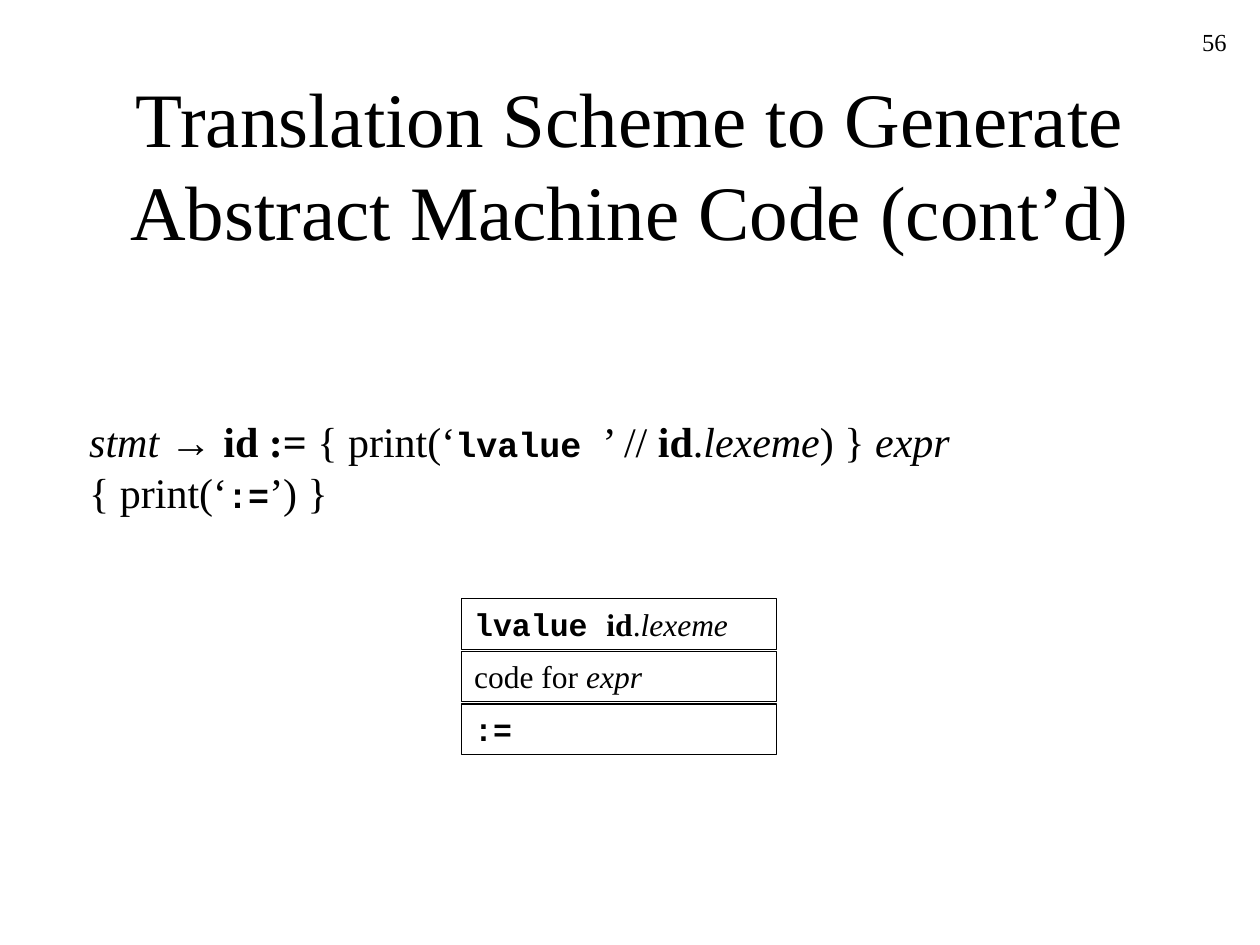
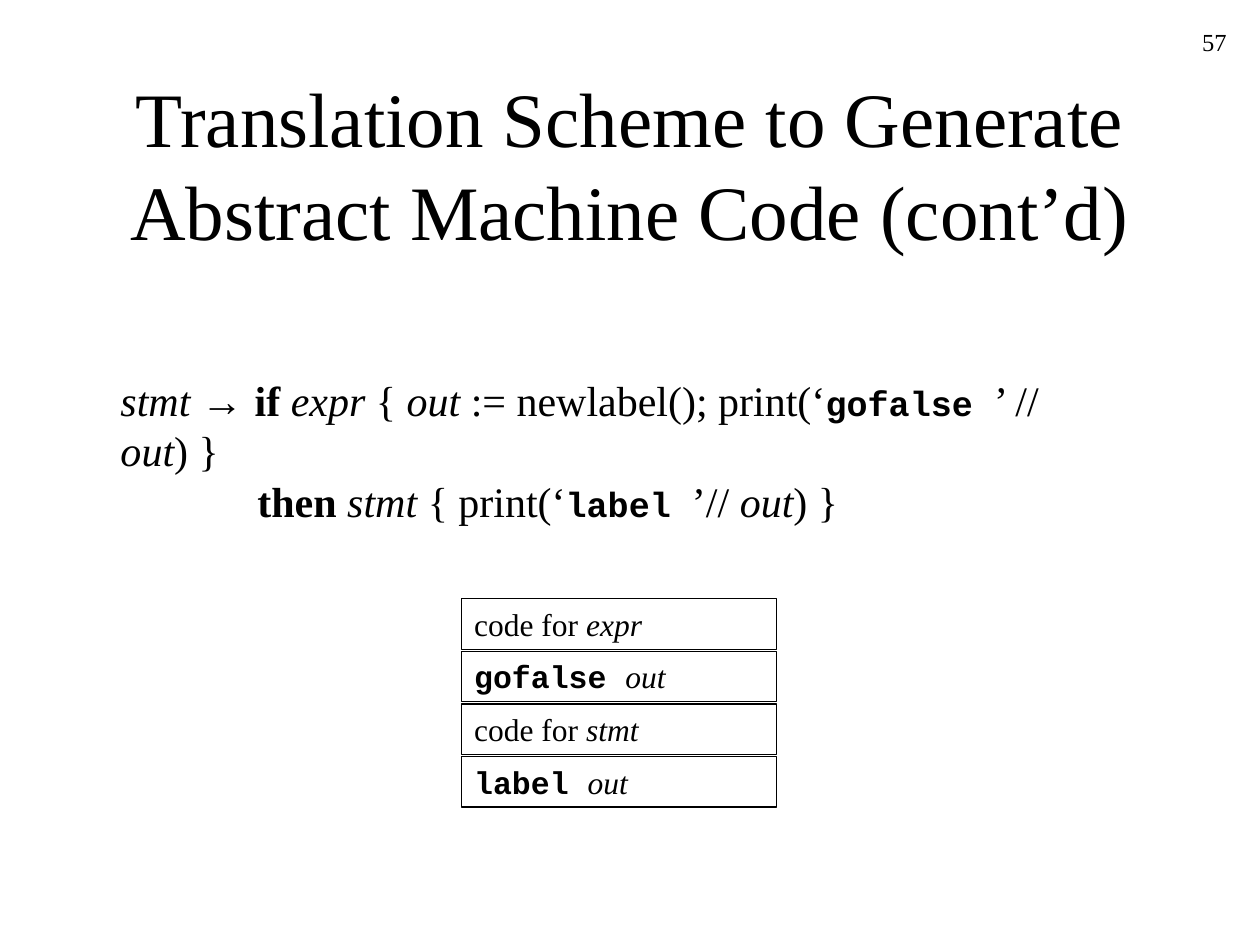
from pptx import Presentation
from pptx.dml.color import RGBColor
from pptx.enum.shapes import MSO_SHAPE
from pptx.enum.text import MSO_ANCHOR, MSO_AUTO_SIZE, PP_ALIGN
from pptx.util import Cm, Pt

BLACK, WHITE = "000000", "FFFFFF"
SERIF, SANS, MONO = "Times New Roman", "Arial", "Courier New"
TITLE = "Translation Scheme to Generate Abstract Machine Code (cont’d)"
FIRST_PAGE = 56

# Kinds of run: font, bold, italic
PLAIN = (SERIF, False, False)
NONTERMINAL = (SERIF, False, True)
TOKEN = (SERIF, True, False)
ARROW = (SANS, False, False)
CODE = (MONO, True, False)


def color(hex_code):
    return RGBColor.from_string(hex_code)


class Deck:
    """Shared style and the slide being built."""

    def __init__(self):
        self.presentation = Presentation()
        self.presentation.slide_width = Cm(25.4)
        self.presentation.slide_height = Cm(19.05)
        self.slide = None

    def add_slide(self, page):
        layout = self.presentation.slide_layouts[5]
        self.slide = self.presentation.slides.add_slide(layout)
        self.slide.background.fill.solid()
        self.slide.background.fill.fore_color.rgb = color(WHITE)
        self.title()
        self.page_number(page)

    def add_runs(self, paragraph, runs, size, code_size=None):
        for text, kind in runs:
            run = paragraph.add_run()
            run.text = text
            font = run.font
            font.name, font.bold, font.italic = kind
            font.size = Pt(code_size if code_size and kind == CODE else size)
            font.color.rgb = color(BLACK)

    def title(self):
        heading = self.slide.shapes.title
        heading.left, heading.top = Cm(1.9), Cm(1.7)
        heading.width, heading.height = Cm(21.6), Cm(3.18)
        frame = heading.text_frame
        frame.auto_size = MSO_AUTO_SIZE.NONE
        frame.vertical_anchor = MSO_ANCHOR.MIDDLE
        frame.paragraphs[0].alignment = PP_ALIGN.CENTER
        self.add_runs(frame.paragraphs[0], [(TITLE, PLAIN)], 44)

    def text_box(self, left, top, width, height):
        box = self.slide.shapes.add_textbox(Cm(left), Cm(top), Cm(width), Cm(height))
        box.text_frame.word_wrap = True
        return box.text_frame

    def page_number(self, page):
        corner = self.text_box(19.69, 0.42, 5.29, 1.27).paragraphs[0]
        corner.alignment = PP_ALIGN.RIGHT
        self.add_runs(corner, [(str(page), PLAIN)], 14)

    def production(self, place, right_inset, lines):
        """Grammar rule; the lines after the first are indented."""
        frame = self.text_box(*place)
        frame.margin_right = Cm(right_inset)
        for index, runs in enumerate(lines):
            if index:
                paragraph = frame.add_paragraph()
                paragraph._p.get_or_add_pPr().set("marL", str(Cm(2.76)))
            else:
                paragraph = frame.paragraphs[0]
            self.add_runs(paragraph, runs, 24, code_size=20)

    def code_layout(self, rows):
        """Stack of boxes showing the order of the generated code."""
        for index, runs in enumerate(rows):
            row = self.slide.shapes.add_shape(
                MSO_SHAPE.RECTANGLE, Cm(9.31), Cm(12.07 + 1.06 * index), Cm(6.35), Cm(1.02))
            row.shadow.inherit = False
            row.fill.background()
            row.line.color.rgb = color(BLACK)
            row.line.width = Pt(0.75)
            frame = row.text_frame
            frame.word_wrap = True
            frame.vertical_anchor = MSO_ANCHOR.TOP
            frame.paragraphs[0].alignment = PP_ALIGN.LEFT
            self.add_runs(frame.paragraphs[0], runs, 18)


def main():
    deck = Deck()
    rule_start = [("stmt ", NONTERMINAL), ("→ ", ARROW)]
    expr_code = [("code for ", PLAIN), ("expr", NONTERMINAL)]
    stmt_code = [("code for ", PLAIN), ("stmt", NONTERMINAL)]
    id_lexeme = [("id", TOKEN), (".", PLAIN), ("lexeme", NONTERMINAL)]
    out = ("out", NONTERMINAL)

    # Assignment statement
    deck.add_slide(FIRST_PAGE)
    deck.production((1.55, 8.26, 22.76, 1.27), 4.95, [
        rule_start + [("id := ", TOKEN), ("{ print(‘", PLAIN), ("lvalue ", CODE), ("’ // ", PLAIN)]
        + id_lexeme
        + [(") } ", PLAIN), ("expr", NONTERMINAL), (" { print(‘", PLAIN), (":=", CODE), ("’) }", PLAIN)],
    ])
    deck.code_layout([[("lvalue ", CODE)] + id_lexeme, expr_code, [(":=", CODE)]])

    # Conditional statement
    deck.add_slide(FIRST_PAGE + 1)
    deck.production((2.18, 7.42, 21.08, 2.29), 1.6, [
        rule_start + [("if ", TOKEN), ("expr ", NONTERMINAL), ("{ ", PLAIN), out,
                      (" := newlabel(); print(‘", PLAIN), ("gofalse ", CODE),
                      ("’ // ", PLAIN), out, (") }", PLAIN)],
        [("then ", TOKEN), ("stmt ", NONTERMINAL), ("{ print(‘", PLAIN), ("label ", CODE),
         ("’// ", PLAIN), out, (") }", PLAIN)],
    ])
    deck.code_layout([expr_code, [("gofalse ", CODE), out], stmt_code, [("label ", CODE), out]])

    deck.presentation.save("out.pptx")


if __name__ == "__main__":
    main()
